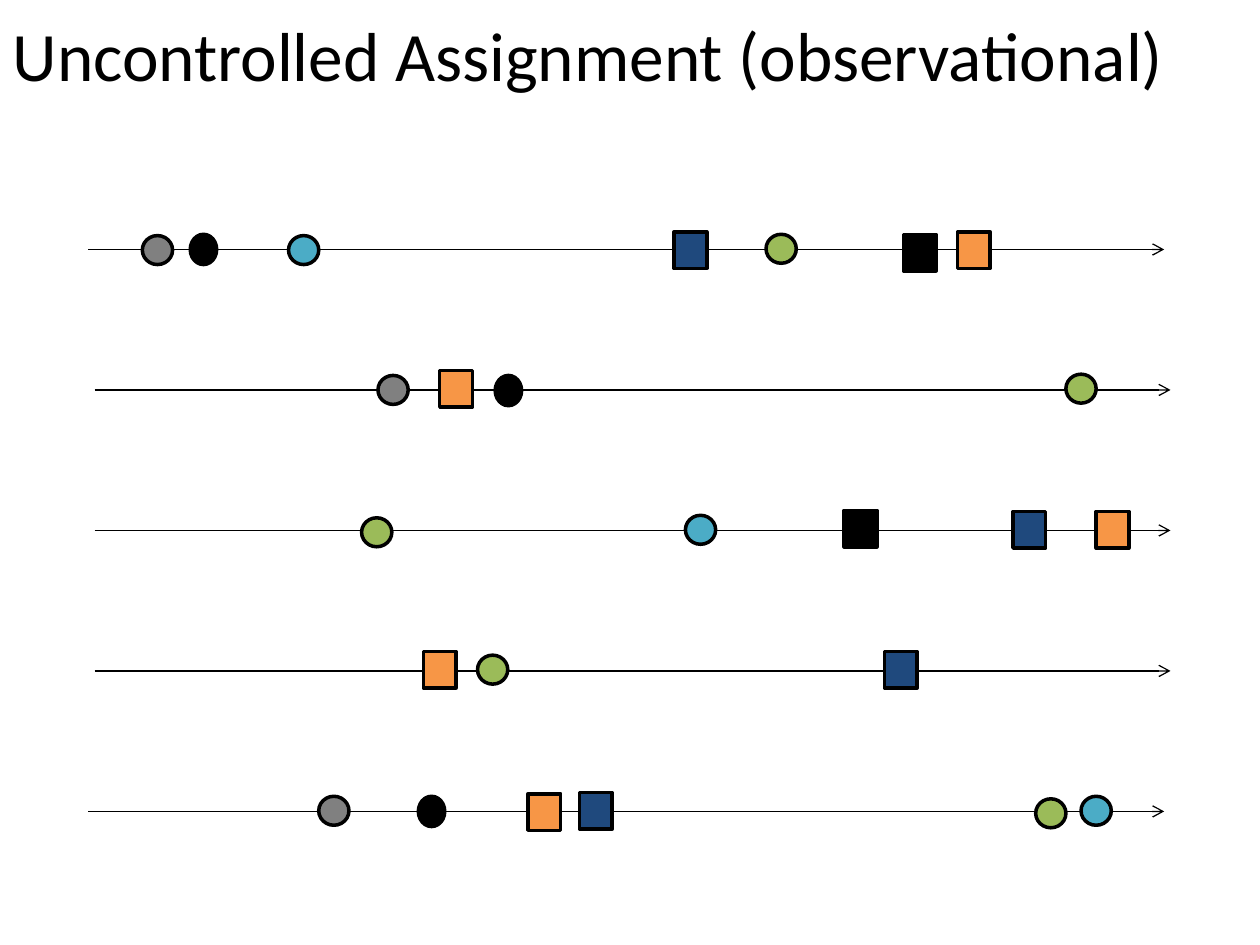
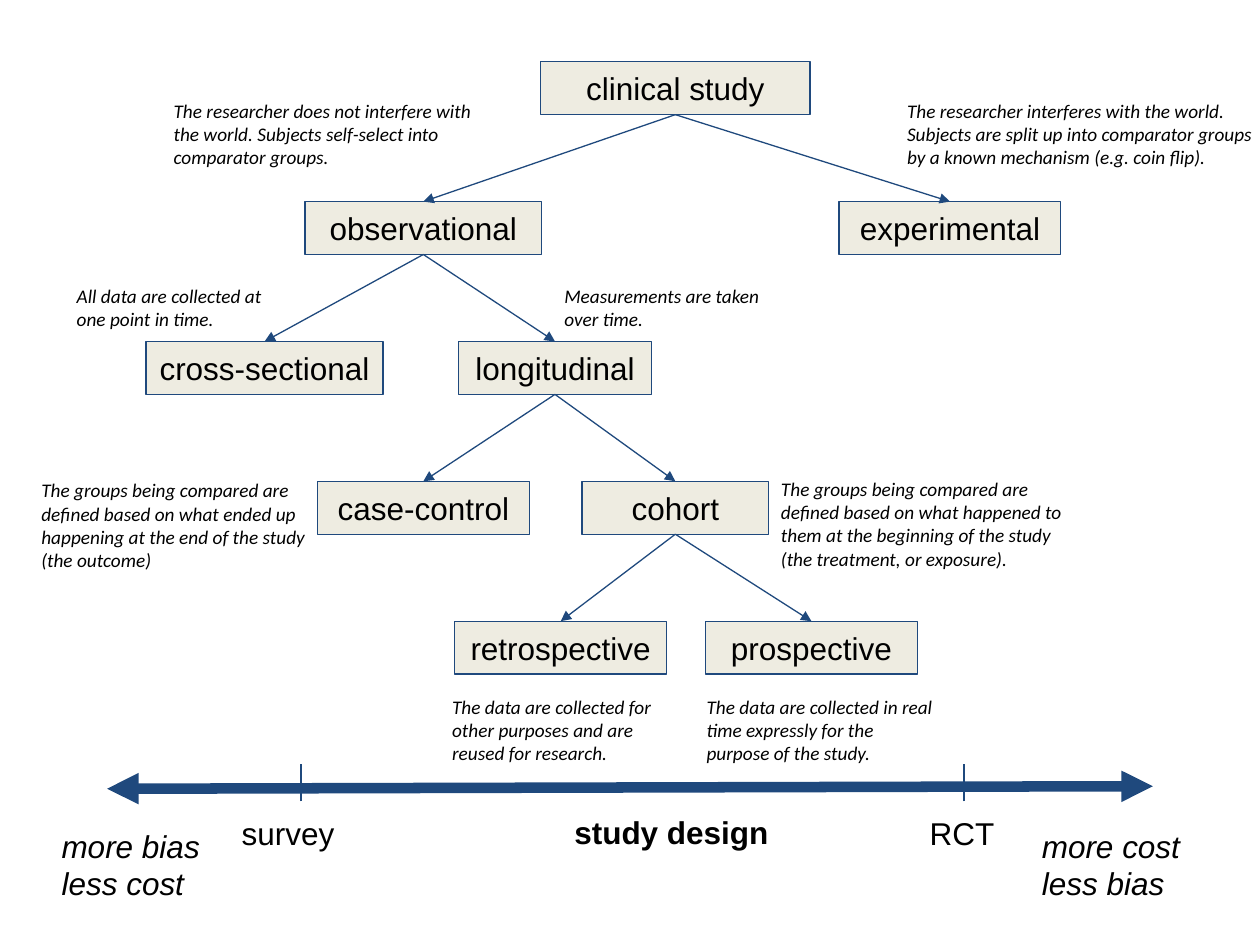
from dataclasses import dataclass
from typing import Optional

from lxml import etree
from pptx import Presentation
from pptx import util as u
from pptx.dml import color
from pptx.enum import shapes, text
from pptx.oxml import ns

BLACK = "000000"
GREY = "808080"
NAVY = "1F497D"
GREEN = "9BBB59"
ORANGE = "F79646"
AQUA = "4BACC6"
SAND = "EEECE1"

THIN = 0.75
BOTTOM, TOP = 2, 0
BOX_HEIGHT = 0.42
LEVEL_TOPS = [0.49, 1.6, 2.71, 3.82, 4.93]
FIRST_LANE, LANE_STEP, LANE_LENGTH = 1.98, 1.115, 8.54


@dataclass(frozen=True)
class EventKind:
    outline: shapes.MSO_SHAPE
    width: float
    height: float
    fill: str


@dataclass(frozen=True)
class Event:
    kind: EventKind
    left: float
    top: float


@dataclass(frozen=True)
class Lane:
    start: float
    events: list[Event]


@dataclass(frozen=True)
class Study:
    name: str
    level: int
    left: float
    width: float
    parent: Optional[str] = None


@dataclass(frozen=True)
class Label:
    words: str
    left: float
    top: float
    width: float
    height: float
    bold: bool = False
    italic: bool = False


def circle(fill: str) -> EventKind:
    return EventKind(shapes.MSO_SHAPE.OVAL, 0.24, 0.23, fill)


def square(fill: str) -> EventKind:
    return EventKind(shapes.MSO_SHAPE.RECTANGLE, 0.26, 0.29, fill)


GREY_DOT, GREEN_DOT, AQUA_DOT = circle(GREY), circle(GREEN), circle(AQUA)
BLACK_DOT = EventKind(shapes.MSO_SHAPE.OVAL, 0.21, 0.24, BLACK)
NAVY_BOX, ORANGE_BOX, BLACK_BOX = square(NAVY), square(ORANGE), square(BLACK)

LANES = [
    Lane(0.7, [Event(GREY_DOT, 1.13, 1.87), Event(BLACK_DOT, 1.51, 1.86),
               Event(AQUA_DOT, 2.29, 1.87), Event(NAVY_BOX, 5.35, 1.84),
               Event(GREEN_DOT, 6.08, 1.86), Event(BLACK_BOX, 7.17, 1.86),
               Event(ORANGE_BOX, 7.6, 1.84)]),
    Lane(0.75, [Event(GREY_DOT, 3, 2.98), Event(ORANGE_BOX, 3.49, 2.94),
                Event(BLACK_DOT, 3.93, 2.98), Event(GREEN_DOT, 8.46, 2.97)]),
    Lane(0.75, [Event(GREEN_DOT, 2.87, 4.11), Event(AQUA_DOT, 5.44, 4.09),
                Event(BLACK_BOX, 6.7, 4.05), Event(NAVY_BOX, 8.04, 4.06),
                Event(ORANGE_BOX, 8.7, 4.06)]),
    Lane(0.75, [Event(ORANGE_BOX, 3.36, 5.17), Event(GREEN_DOT, 3.79, 5.2),
                Event(NAVY_BOX, 7.02, 5.17)]),
    Lane(0.7, [Event(GREY_DOT, 2.53, 6.32), Event(BLACK_DOT, 3.32, 6.32),
               Event(ORANGE_BOX, 4.19, 6.3), Event(NAVY_BOX, 4.6, 6.29),
               Event(GREEN_DOT, 8.22, 6.34), Event(AQUA_DOT, 8.58, 6.32)]),
]

STUDIES = [
    Study("clinical study", 0, 4.29, 2.14),
    Study("observational", 1, 2.42, 1.88, "clinical study"),
    Study("experimental", 1, 6.66, 1.76, "clinical study"),
    Study("cross-sectional", 2, 1.16, 1.88, "observational"),
    Study("longitudinal", 2, 3.64, 1.53, "observational"),
    Study("case-control", 3, 2.52, 1.68, "longitudinal"),
    Study("cohort", 3, 4.62, 1.48, "longitudinal"),
    Study("retrospective", 4, 3.61, 1.68, "cohort"),
    Study("prospective", 4, 5.6, 1.68, "cohort"),
]

NOTES = [
    Label("The researcher does not interfere with the world. Subjects self-select "
          "into comparator groups.", 1.28, 0.74, 2.66, 0.66, italic=True),
    Label("The researcher interferes with the world. Subjects are split up into "
          "comparator groups by a known mechanism (e.g. coin flip).",
          7.1, 0.74, 2.99, 0.66, italic=True),
    Label("All data are collected at one point in time.",
          0.51, 2.21, 1.88, 0.47, italic=True),
    Label("Measurements are taken over time.", 4.38, 2.21, 1.88, 0.47, italic=True),
    Label("The groups being compared are defined based on what ended up happening "
          "at the end of the study (the outcome)", 0.23, 3.75, 2.46, 0.84, italic=True),
    Label("The groups being compared are defined based on what happened to them at "
          "the beginning of the study (the treatment, or exposure).",
          6.1, 3.74, 2.46, 0.84, italic=True),
    Label("The data are collected for other purposes and are reused for research.",
          3.49, 5.47, 2.03, 0.66, italic=True),
    Label("The data are collected in real time expressly for the purpose of the study.",
          5.51, 5.47, 2.03, 0.66, italic=True),
]

AXIS_LABELS = [
    Label("more bias\nless cost", 0.39, 6.46, 1.58, 0.69, italic=True),
    Label("survey", 1.82, 6.36, 1.12, 0.58),
    Label("study design", 4.46, 6.35, 1.79, 1.05, bold=True),
    Label("RCT", 7.28, 6.36, 0.74, 0.58),
    Label("more cost less bias", 8.17, 6.46, 1.48, 1.05, italic=True),
]
AXIS_TICKS = [2.39, 7.65]


def rgb(value: str) -> color.RGBColor:
    return color.RGBColor.from_string(value)


def format_text(frame, size: float, font: str, inset: float = 0.1,
                bold: bool = False, italic: bool = False,
                align=text.PP_ALIGN.LEFT, anchor=text.MSO_ANCHOR.TOP) -> None:
    frame.word_wrap = True
    frame.auto_size = text.MSO_AUTO_SIZE.NONE
    frame.vertical_anchor = anchor
    frame.margin_left = frame.margin_right = u.Inches(0.1)
    frame.margin_top = frame.margin_bottom = u.Inches(inset)
    for para in frame.paragraphs:
        para.alignment = align
        for span in para.runs:
            span.font.size = u.Pt(size)
            span.font.name = font
            span.font.bold = bold
            span.font.italic = italic
            span.font.color.rgb = rgb(BLACK)


def add_block(page, outline, left: float, top: float, width: float, height: float,
              fill: str, line: str, weight: float):
    block = page.shapes.add_shape(outline, u.Inches(left), u.Inches(top),
                                  u.Inches(width), u.Inches(height))
    block.shadow.inherit = False
    block.fill.solid()
    block.fill.fore_color.rgb = rgb(fill)
    block.line.color.rgb = rgb(line)
    block.line.width = u.Pt(weight)
    return block


def add_line(page, start: tuple[float, float], end: tuple[float, float], line: str,
             weight: float = THIN, head: str = "", tail: str = ""):
    connector = page.shapes.add_connector(
        shapes.MSO_CONNECTOR.STRAIGHT, *(u.Inches(value) for value in start + end))
    connector.line.color.rgb = rgb(line)
    connector.line.width = u.Pt(weight)
    properties = connector._element.spPr
    outline = properties.find(ns.qn("a:ln"))
    for tag, arrow in (("a:headEnd", head), ("a:tailEnd", tail)):
        if arrow:
            etree.SubElement(outline, ns.qn(tag), type=arrow)
    etree.SubElement(properties, ns.qn("a:effectLst"))
    return connector


def add_label(page, label: Label, size: float, font: str, inset: float) -> None:
    box = page.shapes.add_textbox(u.Inches(label.left), u.Inches(label.top),
                                  u.Inches(label.width), u.Inches(label.height))
    box.text_frame.text = label.words
    format_text(box.text_frame, size, font, inset, label.bold, label.italic)


def build_timelines(deck) -> None:
    page = deck.slides.add_slide(deck.slide_layouts[5])
    title = page.shapes.title
    title.left, title.top = u.Inches(0), u.Inches(0)
    title.width, title.height = u.Inches(10), u.Inches(1.25)
    title.text_frame.text = "Uncontrolled Assignment (observational)"
    format_text(title.text_frame, 39.6, "Calibri")
    for number, lane in enumerate(LANES):
        height = FIRST_LANE + number * LANE_STEP
        add_line(page, (lane.start, height), (lane.start + LANE_LENGTH, height),
                 BLACK, tail="arrow")
        for event in lane.events:
            kind = event.kind
            add_block(page, kind.outline, event.left, event.top,
                      kind.width, kind.height, kind.fill, BLACK, 2)


def build_study_tree(deck) -> None:
    page = deck.slides.add_slide(deck.slide_layouts[6])
    boxes = {}
    for study in STUDIES:
        box = add_block(page, shapes.MSO_SHAPE.RECTANGLE, study.left,
                        LEVEL_TOPS[study.level], study.width, BOX_HEIGHT,
                        SAND, NAVY, THIN)
        box.text_frame.text = study.name
        format_text(box.text_frame, 18, "Arial", align=text.PP_ALIGN.CENTER,
                    anchor=text.MSO_ANCHOR.MIDDLE)
        boxes[study.name] = box
        if study.parent:
            branch = add_line(page, (0, 0), (1, 1), NAVY, tail="triangle")
            branch.begin_connect(boxes[study.parent], BOTTOM)
            branch.end_connect(box, TOP)
    add_line(page, (0.85, 6.26), (9.15, 6.24), NAVY, 6, "triangle", "triangle")
    for tick in AXIS_TICKS:
        add_line(page, (tick, 6.36), (tick, 6.06), NAVY)
    for label in AXIS_LABELS:
        add_label(page, label, 18, "Arial", 0.1)
    for note in NOTES:
        add_label(page, note, 11, "Calibri", 0.05)


def main() -> None:
    deck = Presentation()
    deck.slide_width, deck.slide_height = u.Inches(10), u.Inches(7.5)
    build_timelines(deck)
    build_study_tree(deck)
    deck.save("out.pptx")


if __name__ == "__main__":
    main()
